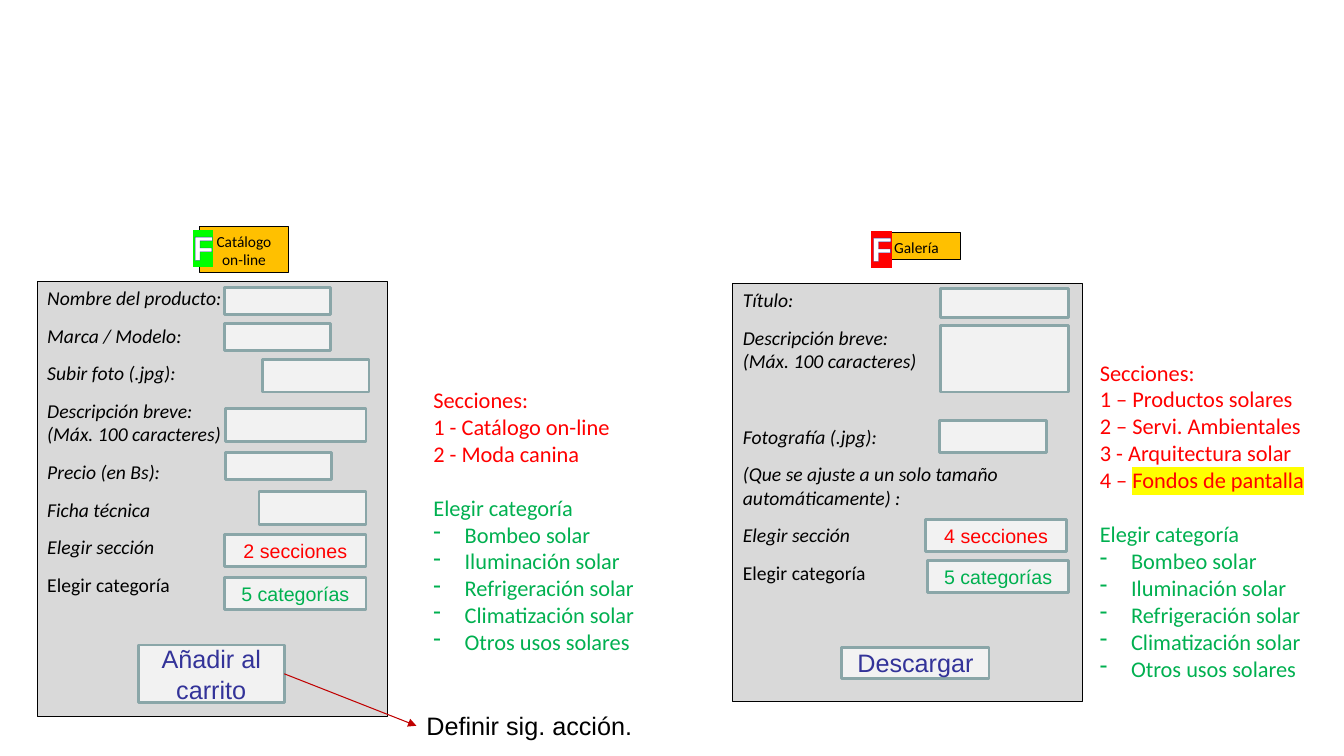
from lxml import etree
from pptx import Presentation
from pptx import util as u
from pptx.dml.color import RGBColor
from pptx.enum import shapes, text
from pptx.oxml import ns

BLACK = RGBColor(0x00, 0x00, 0x00)
WHITE = RGBColor(0xFF, 0xFF, 0xFF)
PANEL = RGBColor(0xD9, 0xD9, 0xD9)
FIELD = RGBColor(0xF2, 0xF2, 0xF2)
TEAL = RGBColor(0x8A, 0xA6, 0xA8)
AMBER = RGBColor(0xFF, 0xC0, 0x00)
INDIGO = RGBColor(0x33, 0x33, 0x99)
RED = RGBColor(0xFF, 0x00, 0x00)
DARK_RED = RGBColor(0xC0, 0x00, 0x00)
GREEN = RGBColor(0x00, 0xB0, 0x50)
LIME = RGBColor(0x00, 0xFF, 0x00)
YELLOW = RGBColor(0xFF, 0xFF, 0x00)

deck = Presentation()
deck.slide_width, deck.slide_height = u.Inches(13.33), u.Inches(7.5)
page = deck.slides.add_slide(deck.slide_layouts[6])


def add_box(place, fill=None, line=BLACK, weight=0.75, anchor=text.MSO_ANCHOR.TOP):
    lengths = [u.Inches(value) for value in place]
    if fill is None:
        box = page.shapes.add_textbox(*lengths)
    else:
        box = page.shapes.add_shape(shapes.MSO_SHAPE.RECTANGLE, *lengths)
        box.shadow.inherit = False
        box.fill.solid()
        box.fill.fore_color.rgb = fill
        box.line.color.rgb = line
        box.line.width = u.Pt(weight)
    box.text_frame.word_wrap = True
    box.text_frame.vertical_anchor = anchor
    return box


def write(box, lines, size, color, face="Calibri", align=text.PP_ALIGN.LEFT, after=0):
    frame = box.text_frame
    for index, line in enumerate(lines):
        para = frame.paragraphs[0] if index == 0 else frame.add_paragraph()
        para.text = line
        para.alignment = align
        para.space_after = u.Pt(after)
        para.font.size = u.Pt(size)
        para.font.name = face
        para.font.color.rgb = color
    return frame.paragraphs


panels = [
    ((0.37, 2.79, 3.47, 4.32),
     ["Nombre del producto:", "Marca / Modelo:", "Subir foto (.jpg):",
      "Descripción breve:\v(Máx. 100 caracteres)", "Precio (en Bs):",
      "Ficha técnica", "Elegir sección", "Elegir categoría"]),
    ((7.27, 2.81, 3.47, 4.15),
     ["Título:", "Descripción breve:\v(Máx. 100 caracteres)", "Fotografía (.jpg):",
      "(Que se ajuste a un solo tamaño automáticamente) :",
      "Elegir sección", "Elegir categoría"]),
]
for place, labels in panels:
    paras = write(add_box(place, PANEL), labels, 14, BLACK, after=10)
    for para in paras:
        para.font.italic = para.text != "Elegir categoría"
        if para.text.startswith("Fotografía"):
            para.space_before = u.Pt(27)

fields = [
    (2.23, 2.85, 1.05, 0.27), (2.23, 3.21, 1.05, 0.27), (2.6, 3.57, 1.06, 0.32),
    (2.24, 4.05, 1.39, 0.33), (2.24, 4.49, 1.05, 0.27), (2.57, 4.88, 1.06, 0.32),
    (9.33, 2.86, 1.27, 0.29), (9.33, 3.23, 1.27, 0.66), (9.32, 4.17, 1.06, 0.32),
]
for place in fields:
    add_box(place, FIELD, TEAL, 2)

buttons = {}
for place, label, size, color in [
    ((2.23, 5.3, 1.4, 0.32), "2 secciones", 14, RED),
    ((2.23, 5.73, 1.4, 0.32), "5 categorías", 14, GREEN),
    ((1.37, 6.4, 1.45, 0.57), "Añadir al carrito", 18, INDIGO),
    ((9.18, 5.15, 1.4, 0.32), "4 secciones", 14, RED),
    ((9.2, 5.56, 1.4, 0.32), "5 categorías", 14, GREEN),
    ((8.35, 6.42, 1.46, 0.31), "Descargar", 18, INDIGO),
]:
    button = add_box(place, FIELD, TEAL, 2, text.MSO_ANCHOR.MIDDLE)
    write(button, [label], size, color, "Arial", text.PP_ALIGN.CENTER)
    buttons[label] = button

marked = []
for tag_place, tag, letter_place, mark in [
    ((1.98, 2.25, 0.88, 0.45), "Catálogo on-line", (1.71, 2.2, 0.61, 0.5), LIME),
    ((8.65, 2.31, 0.88, 0.27), "Galería", (8.44, 2.21, 0.61, 0.5), RED),
]:
    write(add_box(tag_place, AMBER), [tag], 11, BLACK, align=text.PP_ALIGN.CENTER, after=10)
    letter = write(add_box(letter_place), ["F"], 24, WHITE, "Arial", text.PP_ALIGN.CENTER)[0]
    letter.font.bold = True
    span = letter.runs[0]
    outline = etree.Element(ns.qn("a:ln"), w=str(u.Pt(1.75)))
    paint = etree.SubElement(outline, ns.qn("a:solidFill"))
    etree.SubElement(paint, ns.qn("a:srgbClr"), val=str(INDIGO))
    span.font.color.rgb = WHITE
    span.font._element.insert(0, outline)
    marked.append((span, mark))

categories = ["Bombeo solar", "Iluminación solar", "Refrigeración solar",
              "Climatización solar", "Otros usos solares"]
for place, sections in [
    ((4.2, 3.78, 3.21, 2.8), ["1 - Catálogo on-line", "2 - Moda canina"]),
    ((10.81, 3.51, 2.52, 3.33),
     ["1 – Productos solares", "2 – Servi. Ambientales", "3 - Arquitectura solar", "4 – "]),
]:
    box = add_box(place)
    paras = write(box, ["Secciones:", *sections, "Elegir categoría"], 16, RED)
    paras[-1].font.color.rgb = GREEN
    paras[-1].space_before = u.Pt(19.5)
    if sections[-1] == "4 – ":
        span = paras[-2].add_run()
        span.text = "Fondos de pantalla"
        span.font.color.rgb = RED
        marked.append((span, YELLOW))
    for category in categories:
        para = box.text_frame.add_paragraph()
        para.text = category
        properties = para._p.get_or_add_pPr()
        properties.set("marL", str(u.Inches(0.31)))
        properties.set("indent", str(-u.Inches(0.31)))
        etree.SubElement(properties, ns.qn("a:buChar"), char="-")
        para.font.size = u.Pt(16)
        para.font.name = "Calibri"
        para.font.color.rgb = GREEN

for span, mark in marked:
    highlight = etree.Element(ns.qn("a:highlight"))
    etree.SubElement(highlight, ns.qn("a:srgbClr"), val=str(mark))
    span.font._element.find(ns.qn("a:solidFill")).addnext(highlight)

action = add_box((4.13, 7, 2.25, 0.4))
write(action, ["Definir sig. acción."], 18, BLACK, "Arial")

arrow = page.shapes.add_connector(shapes.MSO_CONNECTOR.STRAIGHT, 0, 0, 0, 0)
arrow.begin_connect(buttons["Añadir al carrito"], 3)
arrow.end_connect(action, 1)
arrow.line.color.rgb = DARK_RED
arrow.line.width = u.Pt(0.75)
etree.SubElement(arrow.line._get_or_add_ln(), ns.qn("a:tailEnd"), type="triangle")
etree.SubElement(arrow._element.spPr, ns.qn("a:effectLst"))

deck.save("out.pptx")
